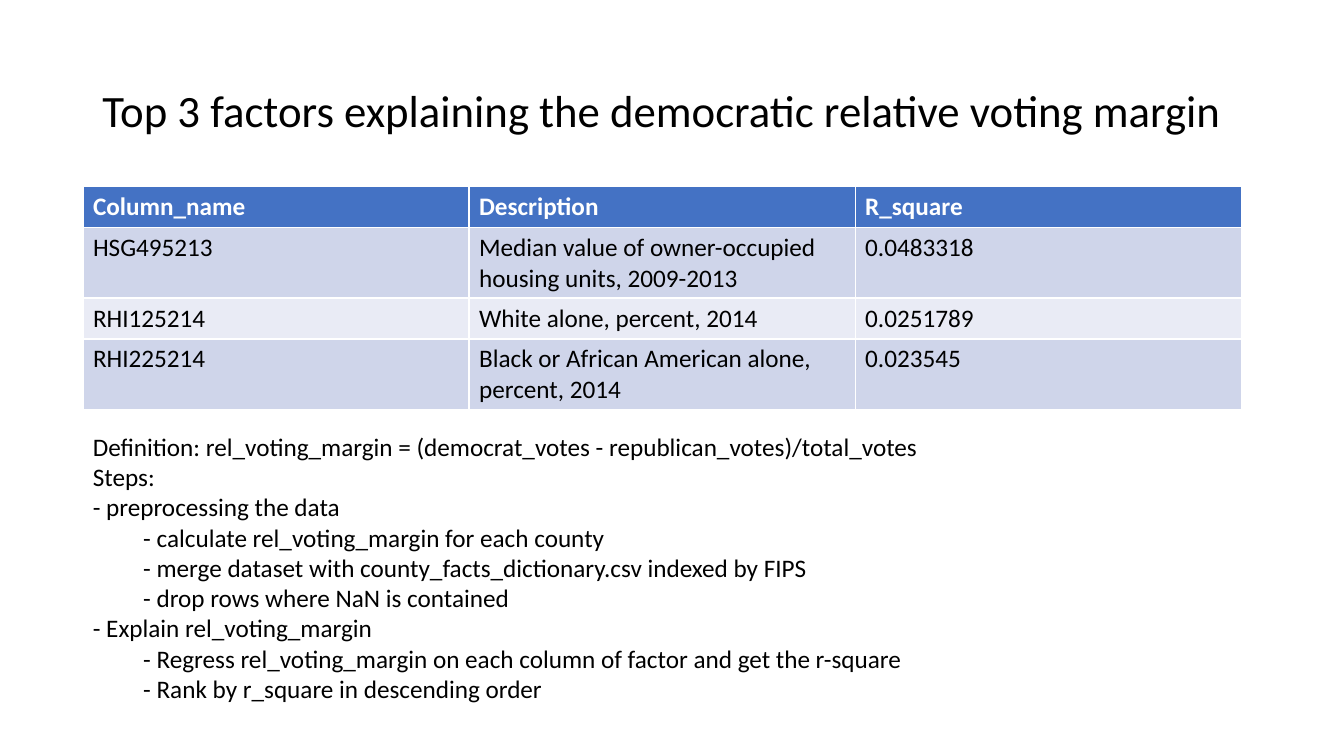
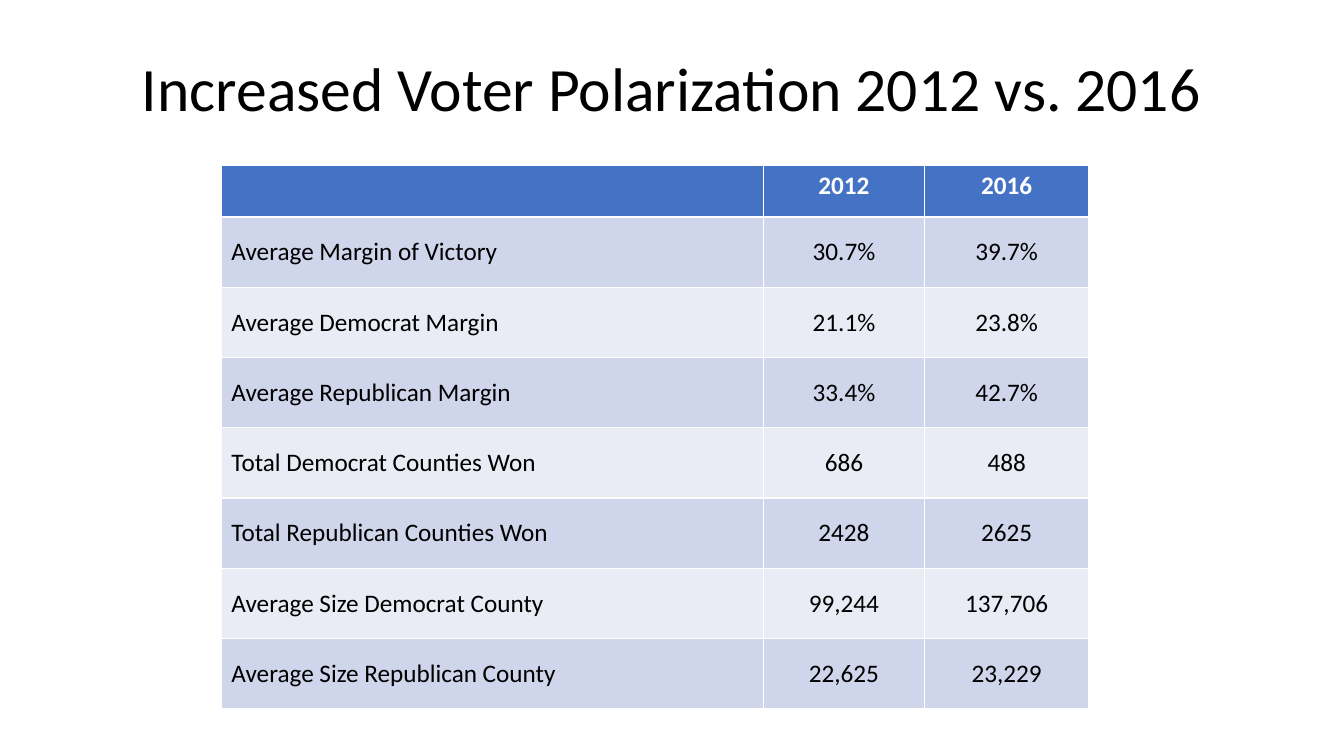
"""Build two slides on county voting margins, each with a title and a table."""
from pptx import Presentation
from pptx.dml.color import RGBColor
from pptx.enum.text import MSO_ANCHOR, PP_ALIGN
from pptx.util import Cm, Pt

LEFT, CENTER = PP_ALIGN.LEFT, PP_ALIGN.CENTER
TOP, MIDDLE = MSO_ANCHOR.TOP, MSO_ANCHOR.MIDDLE
BLACK = RGBColor(0x00, 0x00, 0x00)
WHITE = RGBColor(0xFF, 0xFF, 0xFF)
BLUE = RGBColor(0x44, 0x72, 0xC4)
BANDS = [RGBColor(0xE9, 0xEB, 0xF5), RGBColor(0xCF, 0xD5, 0xEA)]
FONT = "Calibri"


def write(frame, text, size=18, color=BLACK, bold=False, align=LEFT, space=1.0, level=0):
    """Fill the empty first paragraph, or add one, with formatted text."""
    para = frame.add_paragraph() if frame.text else frame.paragraphs[0]
    para.level = level
    if level:
        props = para._p.get_or_add_pPr()
        props.set("marL", str(Cm(1.27 * level)))
        props.set("indent", "0")
    para.alignment = align
    para.line_spacing = space
    run = para.add_run()
    run.text = text
    font = run.font
    font.name, font.size, font.bold = FONT, Pt(size), bold
    font.color.rgb = color


factors = [
    ["Column_name", "Description", "R_square"],
    ["HSG495213", "Median value of owner-occupied housing units, 2009-2013", "0.0483318"],
    ["RHI125214", "White alone, percent, 2014", "0.0251789"],
    ["RHI225214", "Black or African American alone, percent, 2014", "0.023545"],
]
votes = [
    ["", "2012", "2016"],
    ["Average Margin of Victory", "30.7%", "39.7%"],
    ["Average Democrat Margin", "21.1%", "23.8%"],
    ["Average Republican Margin", "33.4%", "42.7%"],
    ["Total Democrat Counties Won", "686", "488"],
    ["Total Republican Counties Won", "2428", "2625"],
    ["Average Size Democrat County", "99,244", "137,706"],
    ["Average Size Republican County", "22,625", "23,229"],
]
steps = [
    (0, "Definition: rel_voting_margin = (democrat_votes - republican_votes)/total_votes"),
    (0, "Steps:"),
    (0, "- preprocessing the data"),
    (1, "- calculate rel_voting_margin for each county"),
    (1, "- merge dataset with county_facts_dictionary.csv indexed by FIPS"),
    (1, "- drop rows where NaN is contained"),
    (0, "- Explain rel_voting_margin"),
    (1, "- Regress rel_voting_margin on each column of factor and get the r-square"),
    (1, "- Rank by r_square in descending order"),
]
pages = [
    dict(title="Top 3 factors explaining the democratic relative voting margin",
         size=32, head=1.02, align=LEFT, rows=factors, left=2.09, top=4.7,
         widths=[9.73] * 3, heights=[1.03, 1.78] * 2, anchor=TOP, aligns=[LEFT] * 3,
         notes=steps),
    dict(title="Increased Voter Polarization 2012 vs. 2016",
         size=44, head=0.48, align=CENTER, rows=votes, left=5.58, top=4.17,
         widths=[13.66, 4.06, 4.14], heights=[1.3] + [1.77] * 7, anchor=MIDDLE,
         aligns=[LEFT, CENTER, CENTER], notes=[]),
]

deck = Presentation()
deck.slide_width, deck.slide_height = Cm(33.87), Cm(19.05)

for page in pages:
    slide = deck.slides.add_slide(deck.slide_layouts[6])
    shapes = slide.shapes

    title = shapes.add_textbox(Cm(2.33), Cm(page["head"]), Cm(29.21), Cm(3.68)).text_frame
    title.word_wrap = True
    title.vertical_anchor = MIDDLE
    write(title, page["title"], size=page["size"], align=page["align"], space=0.9)

    rows, widths, heights = page["rows"], page["widths"], page["heights"]
    table = shapes.add_table(len(rows), len(widths), Cm(page["left"]), Cm(page["top"]),
                             Cm(sum(widths)), Cm(sum(heights))).table
    for column, width in zip(table.columns, widths):
        column.width = Cm(width)
    for r, (row, height) in enumerate(zip(rows, heights)):
        table.rows[r].height = Cm(height)
        for c, (text, align) in enumerate(zip(row, page["aligns"])):
            cell = table.cell(r, c)
            cell.fill.solid()
            cell.fill.fore_color.rgb = BANDS[r % 2] if r else BLUE
            cell.vertical_anchor = page["anchor"] if r else TOP
            if text:
                write(cell.text_frame, text, color=BLACK if r else WHITE,
                      bold=r == 0, align=align)

    if page["notes"]:
        body = shapes.add_textbox(Cm(2.09), Cm(10.74), Cm(24.38), Cm(7.19)).text_frame
        body.word_wrap = True
        for level, text in page["notes"]:
            write(body, text, level=level)

deck.save("out.pptx")
